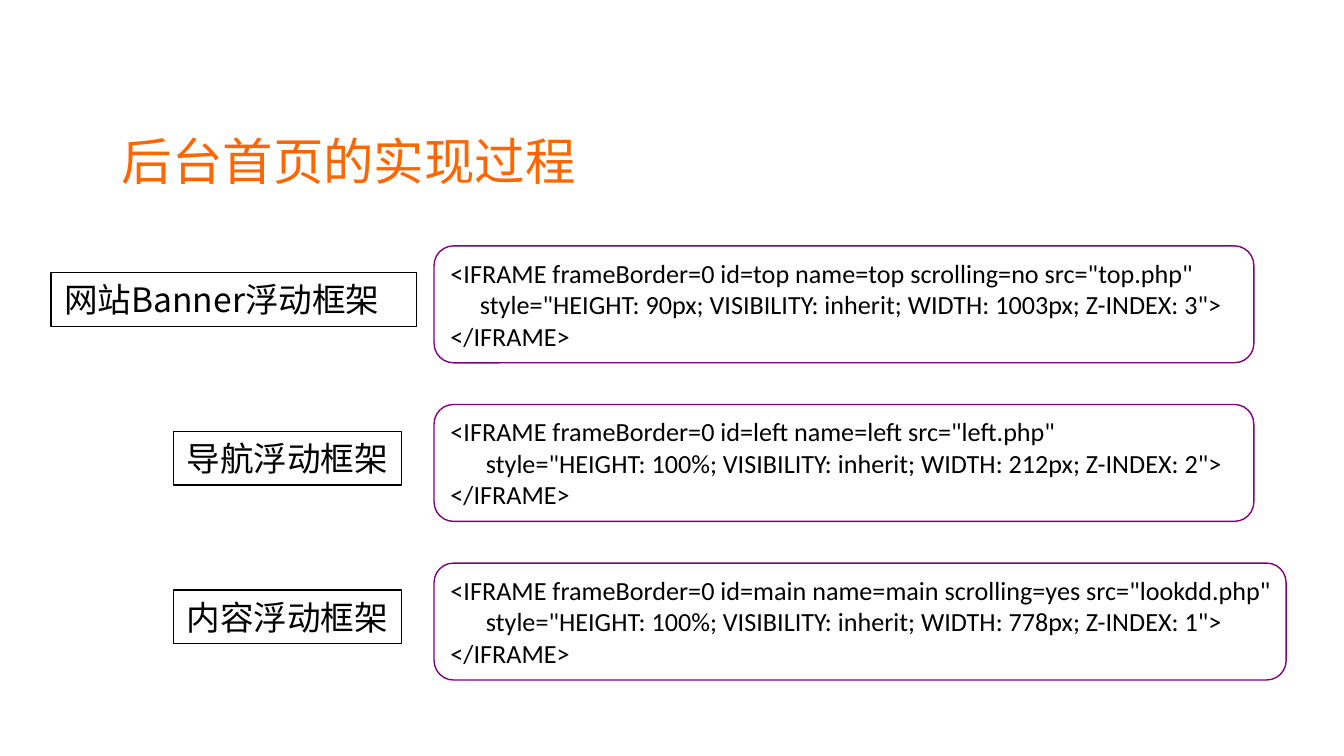
from dataclasses import dataclass

from pptx import Presentation
from pptx.dml.color import RGBColor
from pptx.enum.lang import MSO_LANGUAGE_ID
from pptx.enum.shapes import MSO_SHAPE
from pptx.enum.text import MSO_ANCHOR, MSO_AUTO_SIZE, PP_ALIGN
from pptx.util import Inches, Pt

RECTANGLE = MSO_SHAPE.RECTANGLE
ROUNDED = MSO_SHAPE.ROUNDED_RECTANGLE
TOP, MIDDLE = MSO_ANCHOR.TOP, MSO_ANCHOR.MIDDLE
LEFT, CENTER = PP_ALIGN.LEFT, PP_ALIGN.CENTER
FIXED, GROW = MSO_AUTO_SIZE.NONE, MSO_AUTO_SIZE.SHAPE_TO_FIT_TEXT
CHINESE, ENGLISH = MSO_LANGUAGE_ID.SIMPLIFIED_CHINESE, MSO_LANGUAGE_ID.ENGLISH_US


@dataclass(frozen=True)
class Theme:
    """Colours, fonts and sizes of the slide."""
    title_color: RGBColor = RGBColor.from_string("FF6600")
    ink: RGBColor = RGBColor.from_string("000000")
    code_border: RGBColor = RGBColor.from_string("800080")
    title_font: str = "Arial"
    label_font: str = "Noto Sans CJK SC"
    code_font: str = "Calibri"
    title_size: Pt = Pt(27)
    label_size: Pt = Pt(18)
    code_size: Pt = Pt(14)
    border: Pt = Pt(0.75)


THEME = Theme()
SLIDE_WIDTH = 10
SLIDE_HEIGHT = SLIDE_WIDTH * 9 / 16
CODE_LEFT, CODE_HEIGHT = 3.23, 0.87
LABEL_HEIGHT, LABEL_DROP = 0.4, 0.2
FIRST_ROW, ROW_PITCH = 1.83, 1.18

FRAMES = [
    ("网站Banner浮动框架", 0.38, 2.72, 6.1, [
        '<IFRAME frameBorder=0 id=top name=top scrolling=no src="top.php"',
        '     style="HEIGHT: 90px; VISIBILITY: inherit; WIDTH: 1003px; Z-INDEX: 3">',
        "</IFRAME>"]),
    ("导航浮动框架", 1.29, 1.7, 6.1, [
        '<IFRAME frameBorder=0 id=left name=left src="left.php"',
        '      style="HEIGHT: 100%; VISIBILITY: inherit; WIDTH: 212px; Z-INDEX: 2">',
        "</IFRAME>"]),
    ("内容浮动框架", 1.29, 1.7, 6.34, [
        '<IFRAME frameBorder=0 id=main name=main scrolling=yes src="lookdd.php"',
        '      style="HEIGHT: 100%; VISIBILITY: inherit; WIDTH: 778px; Z-INDEX: 1">',
        "</IFRAME>"]),
]


def set_all(target, values):
    """Set each named attribute on the target."""
    for name, value in values.items():
        setattr(target, name, value)


def write_text(shape, lines, frame_format, font_format, color, margins, align=LEFT):
    """Fill a shape with one formatted paragraph per line."""
    frame = shape.text_frame
    side, end = (Inches(margin) for margin in margins)
    set_all(frame, {"margin_left": side, "margin_right": side,
                    "margin_top": end, "margin_bottom": end, **frame_format})
    for index, line in enumerate(lines):
        para = frame.paragraphs[0] if index == 0 else frame.add_paragraph()
        para.alignment = align
        span = para.add_run()
        span.text = line
        set_all(span.font, font_format)
        span.font.color.rgb = color


def add_outline(page, kind, box, color):
    """Add an unfilled outlined shape in the given box."""
    shape = page.shapes.add_shape(kind, *map(Inches, box))
    shape.shadow.inherit = False
    shape.fill.background()
    shape.line.color.rgb = color
    shape.line.width = THEME.border
    return shape


def place_title(page, box):
    """Move and format the title placeholder."""
    title = page.shapes.title
    set_all(title, dict(zip(("left", "top", "width", "height"), map(Inches, box))))
    write_text(title, ["后台首页的实现过程"],
               {"vertical_anchor": MIDDLE, "word_wrap": True, "auto_size": FIXED},
               {"name": THEME.title_font, "size": THEME.title_size,
                "language_id": CHINESE},
               THEME.title_color, (0.08, 0.04), CENTER)


def add_label(page, box, text):
    """Add the bordered name of a frame."""
    label = add_outline(page, RECTANGLE, box, THEME.ink)
    write_text(label, [text],
               {"vertical_anchor": TOP, "word_wrap": False, "auto_size": GROW},
               {"name": THEME.label_font, "size": THEME.label_size,
                "language_id": CHINESE},
               THEME.ink, (0.1, 0.05))


def add_code(page, box, lines):
    """Add a rounded panel of code."""
    panel = add_outline(page, ROUNDED, box, THEME.code_border)
    write_text(panel, lines,
               {"vertical_anchor": MIDDLE, "word_wrap": False, "auto_size": FIXED},
               {"name": THEME.code_font, "size": THEME.code_size,
                "language_id": ENGLISH},
               THEME.ink, (0.08, 0.04))


def main():
    """Build and save the deck."""
    deck = Presentation()
    deck.slide_width, deck.slide_height = Inches(SLIDE_WIDTH), Inches(SLIDE_HEIGHT)
    page = deck.slides.add_slide(deck.slide_layouts.get_by_name("Title Only"))
    place_title(page, (0.74, 0.81, 3.71, 0.77))
    for row, (name, left, width, code_width, lines) in enumerate(FRAMES):
        top = FIRST_ROW + row * ROW_PITCH
        add_label(page, (left, top + LABEL_DROP, width, LABEL_HEIGHT), name)
        add_code(page, (CODE_LEFT, top, code_width, CODE_HEIGHT), lines)
    deck.save("out.pptx")


if __name__ == "__main__":
    main()
